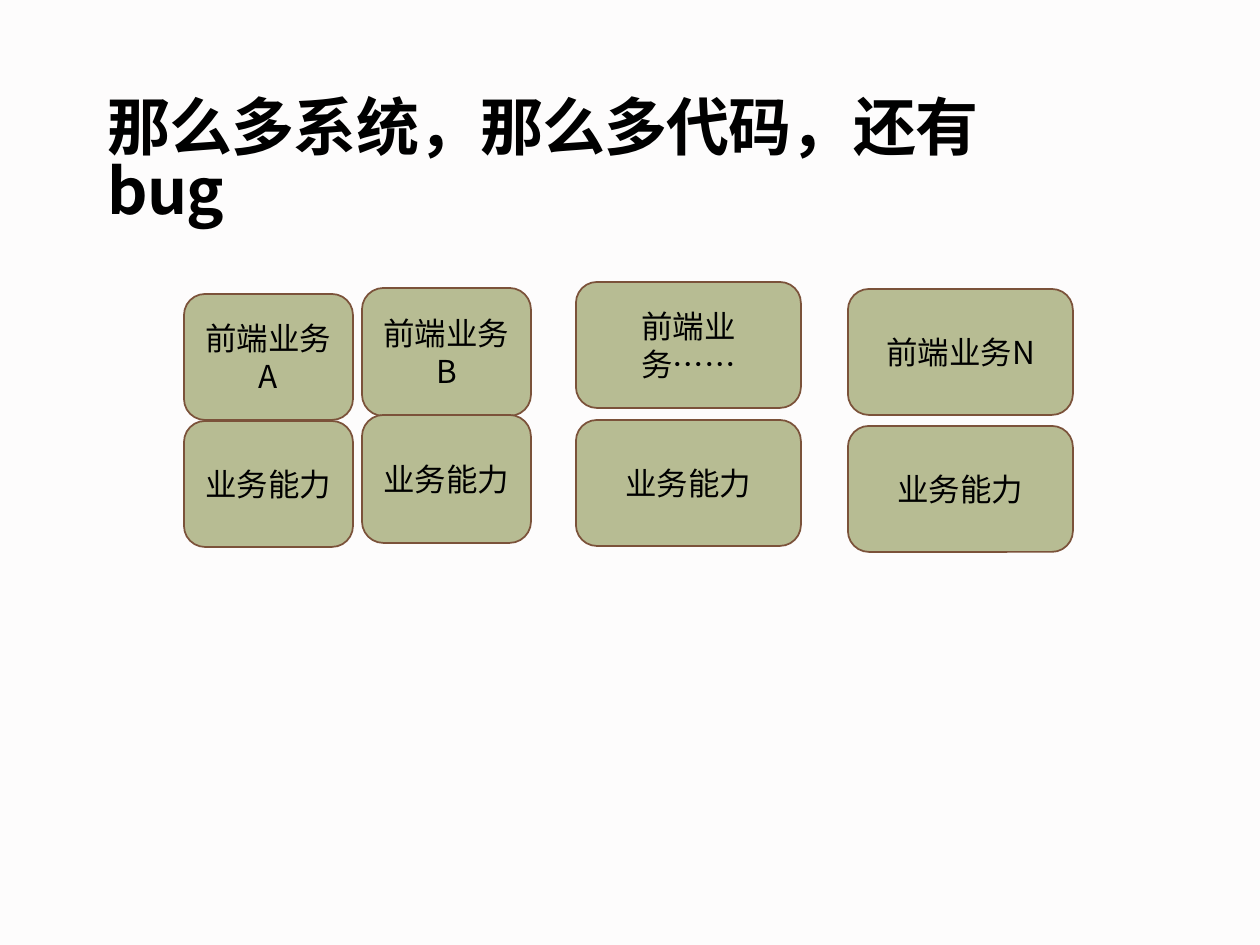
import pptx
import pptx.util
import pptx.dml.color
import pptx.enum.shapes
import pptx.enum.text
import pptx.oxml.ns
import lxml.etree

SCALE = 914400 // 126
FONT = "Noto Sans CJK SC"
COLORS = {"page": "FDFCFC", "fill": "B7BC93", "line": "7B523A", "text": "000000"}


def px(length):
    return pptx.util.Emu(length * SCALE)


def color(name):
    return pptx.dml.color.RGBColor.from_string(COLORS[name])


def add_span(para, text, size, bold=False):
    span = para.add_run()
    span.text = text
    span.font.size = pptx.util.Pt(size)
    span.font.bold = bold
    span.font.name = FONT
    span.font.color.rgb = color("text")
    east_asian = lxml.etree.SubElement(span.font._element, pptx.oxml.ns.qn("a:ea"))
    east_asian.set("typeface", FONT)
    return span


def place_title(page, left, top, width, height):
    title = page.shapes.title
    title.left, title.top, title.width, title.height = map(px, (left, top, width, height))
    frame = title.text_frame
    frame.word_wrap = True
    frame.auto_size = pptx.enum.text.MSO_AUTO_SIZE.NONE
    frame.vertical_anchor = pptx.enum.text.MSO_ANCHOR.BOTTOM
    frame.margin_right = px(40)
    para = frame.paragraphs[0]
    para.alignment = pptx.enum.text.PP_ALIGN.LEFT
    para.line_spacing = 0.85
    span = add_span(para, "那么多系统，那么多代码，还有bug", 36, bold=True)
    span.font._element.set("spc", "-50")


def add_box(page, left, top, width, height, text):
    box = page.shapes.add_shape(
        pptx.enum.shapes.MSO_SHAPE.ROUNDED_RECTANGLE, *map(px, (left, top, width, height)))
    box.shadow.inherit = False
    box.fill.solid()
    box.fill.fore_color.rgb = color("fill")
    box.line.color.rgb = color("line")
    box.line.width = pptx.util.Pt(1)
    frame = box.text_frame
    frame.word_wrap = True
    frame.vertical_anchor = pptx.enum.text.MSO_ANCHOR.MIDDLE
    para = frame.paragraphs[0]
    para.alignment = pptx.enum.text.PP_ALIGN.CENTER
    add_span(para, text, 18)


def add_business(page, left, top, width, height, step, name):
    """Stack a front-end box above its capability box."""
    for row, text in enumerate(("前端业务" + name, "业务能力")):
        add_box(page, left, top + row * step, width, height, text)


deck = pptx.Presentation()
deck.slide_width, deck.slide_height = px(1260), px(945)
page = deck.slides.add_slide(deck.slide_layouts[5])
page.background.fill.solid()
page.background.fill.fore_color.rgb = color("page")

# Title
place_title(page, 95, 96, 1022, 138)

# Business columns: left, top, width, height, row step, name
for column in (
    (184, 294, 169, 126, 127, "A"),
    (362, 288, 169, 128, 127, "B"),
    (848, 289, 225, 126, 137, "N"),
    (576, 282, 225, 126, 138, "……"),
):
    add_business(page, *column)

deck.save("out.pptx")
